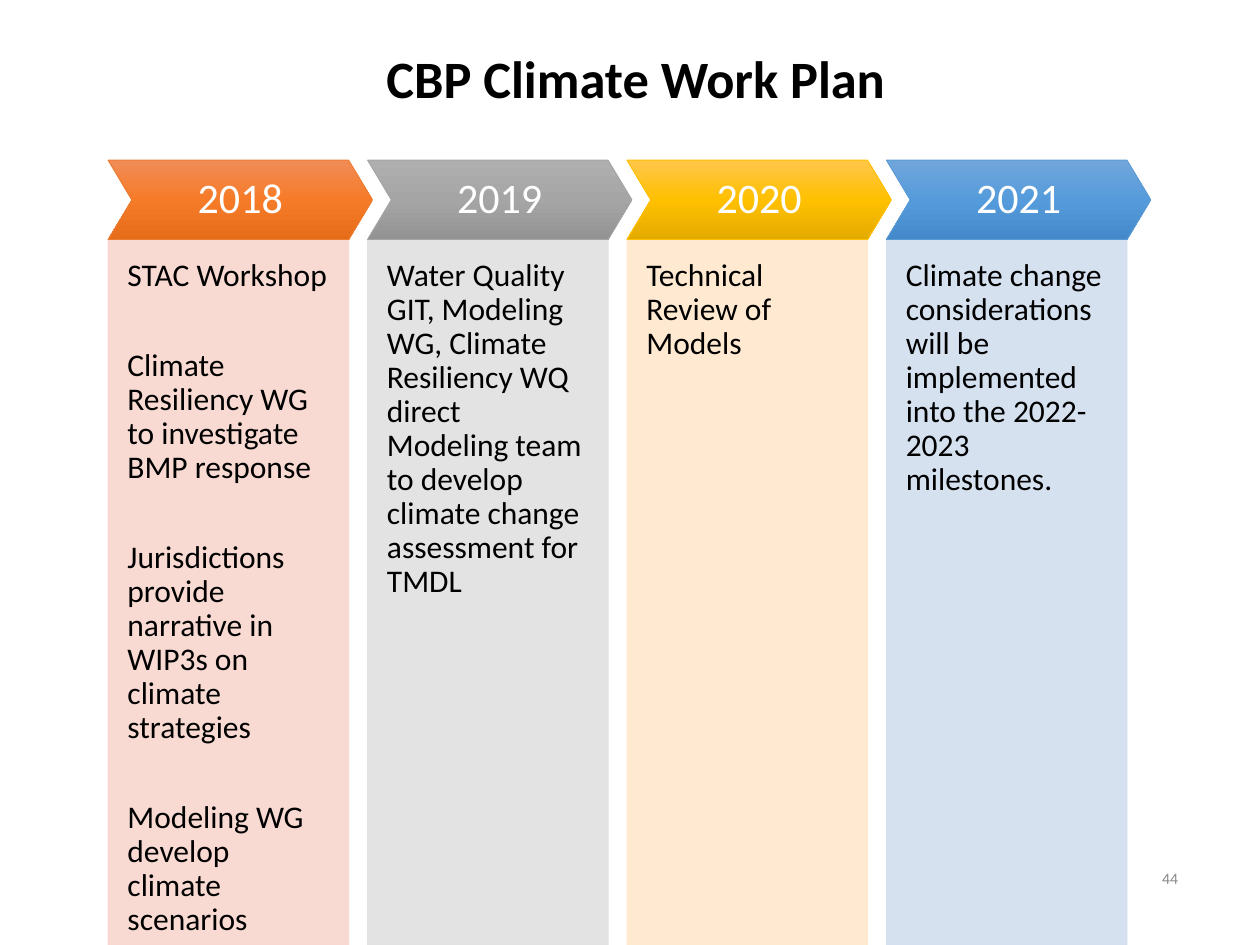
"""Build the four-year CBP climate work plan slide."""
from copy import deepcopy

from lxml.etree import SubElement
from pptx import Presentation
from pptx.dml.color import RGBColor
from pptx.enum.shapes import MSO_SHAPE as Shape
from pptx.enum.text import MSO_ANCHOR as Anchor, MSO_AUTO_SIZE as AutoSize, PP_ALIGN as Align
from pptx.oxml.ns import qn
from pptx.util import Cm, Pt

YEARS = [
    ("2018", ("F18C57", "F67B28", "E56C19"), "ED7D31", "F8D7CE", [
        "STAC Workshop",
        "Climate Resiliency WG to investigate BMP response",
        "Jurisdictions provide narrative in WIP3s on climate strategies",
        "Modeling WG develop climate scenarios"]),
    ("2019", ("AFAFAF", "A5A5A5", "939393"), "A5A5A5", "E1E1E1", [
        "Water Quality GIT, Modeling WG, Climate Resiliency WQ direct "
        "Modeling team to develop climate change assessment for TMDL"]),
    ("2020", ("FFC64B", "FFC000", "E3AB00"), "FFC000", "FFE8CC", [
        "Technical Review of Models"]),
    ("2021", ("71A6DB", "559BDB", "448ACA"), "5B9BD5", "D2DEEF", [
        "Climate change considerations will be implemented into the "
        "2022-2023 milestones."]),
]


def color(hex_code):
    return RGBColor.from_string(hex_code)


def write(frame, *lines, size, ink="000000", bold=False, align=Align.LEFT,
          anchor=Anchor.MIDDLE, insets=(0, 0, 0, 0), gap=0):
    frame.word_wrap = True
    frame.auto_size = AutoSize.NONE
    frame.vertical_anchor = anchor
    (frame.margin_left, frame.margin_top,
     frame.margin_right, frame.margin_bottom) = map(Cm, insets)
    for index, line in enumerate(lines):
        paragraph = frame.add_paragraph() if index else frame.paragraphs[0]
        properties = paragraph._p.get_or_add_pPr()
        properties.set("marL", "0")
        properties.set("indent", "0")
        SubElement(properties, qn("a:buNone"))
        paragraph.alignment = align
        paragraph.line_spacing = 0.9
        paragraph.space_before = Pt(gap if index else 0)
        paragraph.space_after = Pt(0)
        run = paragraph.add_run()
        run.text = line
        run.font.name = "Calibri"
        run.font.size = Pt(size)
        run.font.bold = bold
        run.font.color.rgb = color(ink)


class WorkPlan:
    """Hold the deck style and the current slide."""

    left, pitch = 2.18, 5.23
    banner_top, banner_width, banner_height = 3.23, 5.33, 1.6
    panel_top, panel_width, panel_height = 4.83, 4.85, 14.22

    def __init__(self):
        self.deck = Presentation()
        self.deck.slide_width, self.deck.slide_height = Cm(25.4), Cm(19.05)
        self.slide = self.deck.slides.add_slide(
            self.deck.slide_layouts.get_by_name("Comparison"))
        self.title, *self.bodies = self.slide.placeholders

    def place(self, item, left, top, width, height):
        item.left, item.top, item.width, item.height = map(
            Cm, (left, top, width, height))

    def outline(self, item, hex_code):
        item.line.color.rgb = color(hex_code)
        item.line.width = Pt(0.5)

    def heading(self, text):
        self.place(self.title, 2.57, 0.46, 20.5, 2.36)
        write(self.title.text_frame, text, size=30, bold=True, align=Align.CENTER)

    def banner(self, column, year, shades, edge):
        chevron = self.slide.shapes.add_shape(
            Shape.CHEVRON, Cm(self.left + column * self.pitch), Cm(self.banner_top),
            Cm(self.banner_width), Cm(self.banner_height))
        chevron.adjustments[0] = 0.3
        chevron.shadow.inherit = False
        chevron.fill.gradient()
        chevron.fill.gradient_angle = 270
        stops = chevron._element.spPr.find(f".//{qn('a:gsLst')}")
        stops.append(deepcopy(stops[-1]))
        for stop, shade, position in zip(chevron.fill.gradient_stops, shades, (0, 0.5, 1)):
            stop.color.rgb = color(shade)
            stop.position = position
        self.outline(chevron, edge)
        write(chevron.text_frame, year, size=24, ink="FFFFFF", align=Align.CENTER)

    def panel(self, column, tint, tasks):
        body = self.bodies[column]
        self.place(body, self.left + column * self.pitch, self.panel_top,
                   self.panel_width, self.panel_height)
        body.fill.solid()
        body.fill.fore_color.rgb = color(tint)
        self.outline(body, tint)
        for tone in body._element.spPr.iter(qn("a:srgbClr")):
            SubElement(tone, qn("a:alpha"), val="90000")
        write(body.text_frame, *tasks, size=18, anchor=Anchor.TOP,
              insets=(0.39, 0.39, 0.39, 0.76), gap=32)

    def page_number(self, number):
        box = self.slide.shapes.add_textbox(Cm(22.56), Cm(17.3), Cm(1.19), Cm(0.86))
        write(box.text_frame, number, size=9, ink="898989", align=Align.RIGHT)


def main():
    plan = WorkPlan()
    plan.heading("CBP Climate Work Plan")
    for column, (year, shades, edge, tint, tasks) in enumerate(YEARS):
        plan.banner(column, year, shades, edge)
        plan.panel(column, tint, tasks)
    plan.page_number("44")
    plan.deck.save("out.pptx")


if __name__ == "__main__":
    main()
